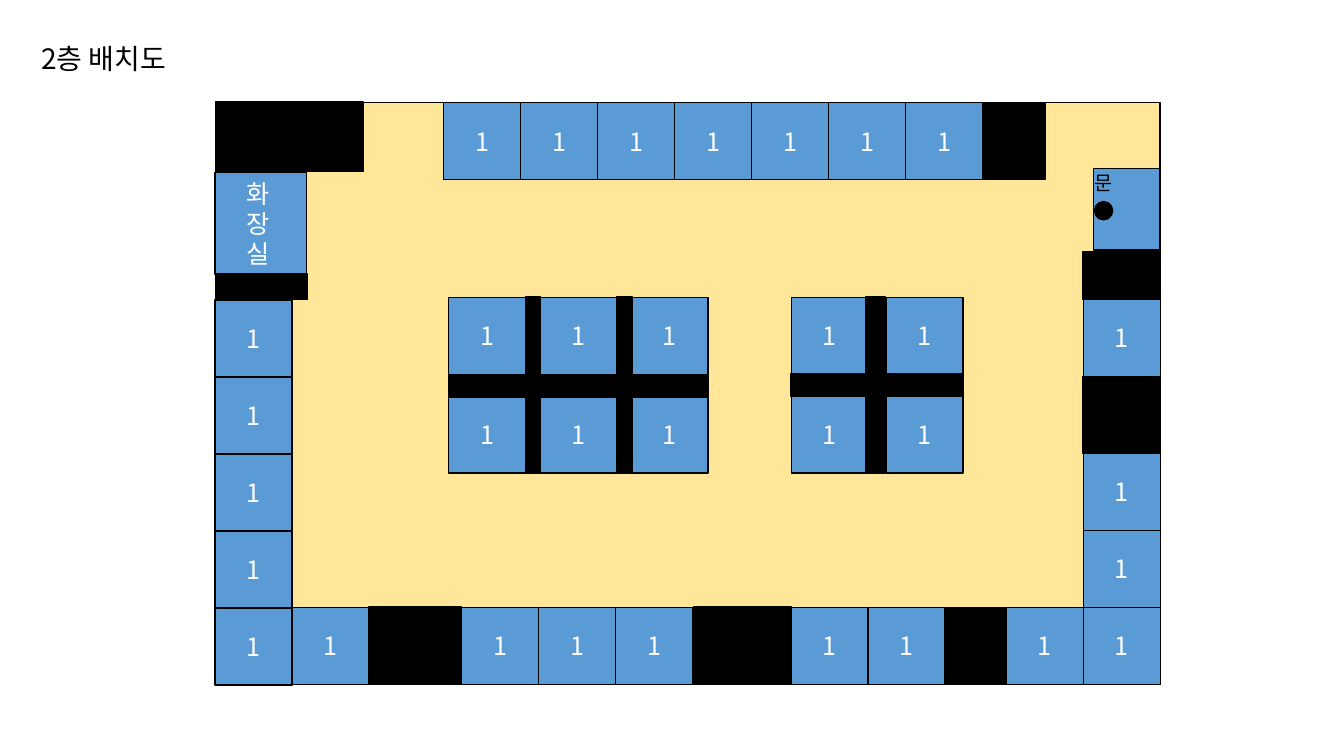
import pptx
import pptx.dml.color
import pptx.enum.shapes
import pptx.enum.text
import pptx.oxml
import pptx.oxml.ns
import pptx.util

Pt = pptx.util.Pt
SHAPES = pptx.enum.shapes.MSO_SHAPE
ALIGN = pptx.enum.text.PP_ALIGN
ANCHOR = pptx.enum.text.MSO_ANCHOR
FONT = "Noto Sans CJK KR"
BLACK, WHITE, BLUE, SAND = "000000", "FFFFFF", "5B9BD5", "FFE699"

deck = pptx.Presentation()
deck.slide_width, deck.slide_height = Pt(960), Pt(540)
page = deck.slides.add_slide(deck.slide_layouts[5])


def write(box, text, size=18, color=WHITE, align=ALIGN.LEFT, anchor=ANCHOR.TOP, spacing=None):
    frame = box.text_frame
    frame.word_wrap = True
    frame.vertical_anchor = anchor
    para = frame.paragraphs[0]
    para.alignment = align
    para.line_spacing = spacing
    para.space_before = Pt(0)
    span = para.add_run()
    span.text = text
    span.font.size = Pt(size)
    span.font.name = FONT
    span.font.color.rgb = pptx.dml.color.RGBColor.from_string(color)
    # Korean letters take the East Asian typeface
    east_asian = pptx.oxml.parse_xml(f'<a:ea {pptx.oxml.ns.nsdecls("a")} typeface="{FONT}"/>')
    span.font._element.append(east_asian)


def add_block(left, top, width, height, color, kind=SHAPES.RECTANGLE):
    block = page.shapes.add_shape(kind, Pt(left), Pt(top), Pt(width), Pt(height))
    block.shadow.inherit = False
    block.fill.solid()
    block.fill.fore_color.rgb = pptx.dml.color.RGBColor.from_string(color)
    block.line.color.rgb = pptx.dml.color.RGBColor.from_string(BLACK)
    block.line.width = Pt(1)
    return block


title = page.shapes.title
title.left, title.top, title.width, title.height = Pt(22.3), Pt(31), Pt(131.8), Pt(27.4)
title.text_frame.auto_size = pptx.enum.text.MSO_AUTO_SIZE.NONE
write(title, "2층 배치도", size=20, color=BLACK, spacing=0.8)

# Floor, door and restroom
add_block(154, 73.2, 674.6, 415.4, SAND)
add_block(781.2, 120.2, 47, 58.5, BLUE)
door_label = page.shapes.add_textbox(Pt(774.7), Pt(118.8), Pt(28.1), Pt(24.5))
write(door_label, "문", size=14, color=BLACK)
add_block(781.8, 144, 13, 13, BLACK, SHAPES.OVAL)
add_block(153.6, 123.2, 65.5, 72.8, BLUE)
restroom_label = page.shapes.add_textbox(Pt(169.2), Pt(123.8), Pt(33.1), Pt(72.7))
write(restroom_label, "화장실")

# Seats along the walls and in the two islands
SEAT = 55
seats = [(317 + SEAT * i, 73.4) for i in range(7)]
seats += [(153.6, 214.4 + SEAT * i) for i in range(5)]
seats += [(773.8, 213.8 + SEAT * i) for i in (0, 2, 3, 4)]
for left, count in ((208.8, 1), (329.8, 3), (565.2, 2), (718.8, 1)):
    seats += [(left + SEAT * i, 433.8) for i in range(count)]
for left, columns, pitch in ((320.4, 3, 65.2), (565.2, 2, 67.8)):
    seats += [(left + pitch * i, top) for top in (212.4, 283) for i in range(columns)]
for left, top in seats:
    seat = add_block(left, top, SEAT, SEAT, BLUE)
    write(seat, "1", align=ALIGN.CENTER, anchor=ANCHOR.MIDDLE)

# Pillars and walls, then island partitions
walls = [
    (154, 195.8, 65.5, 18),
    (773.4, 180, 55, 33.8),
    (773.4, 269.2, 55.2, 54.8),
    (263.6, 433.6, 66.2, 55.2),
    (495.2, 433.6, 70, 55.2),
    (674.8, 434, 44, 54.8),
    (702.5, 73.4, 44, 54.8),
    (154, 73, 105.2, 49.7),
]
partitions = [(left, 211.8, width, 126) for left, width in ((375.2, 10.8), (440.6, 10.8), (618.6, 13.7))]
partitions += [(320.4, 267.8, 185.6, 15.8), (564.6, 267.2, 123.2, 15.8)]
for wall in walls + partitions:
    add_block(*wall, BLACK)

deck.save("out.pptx")
